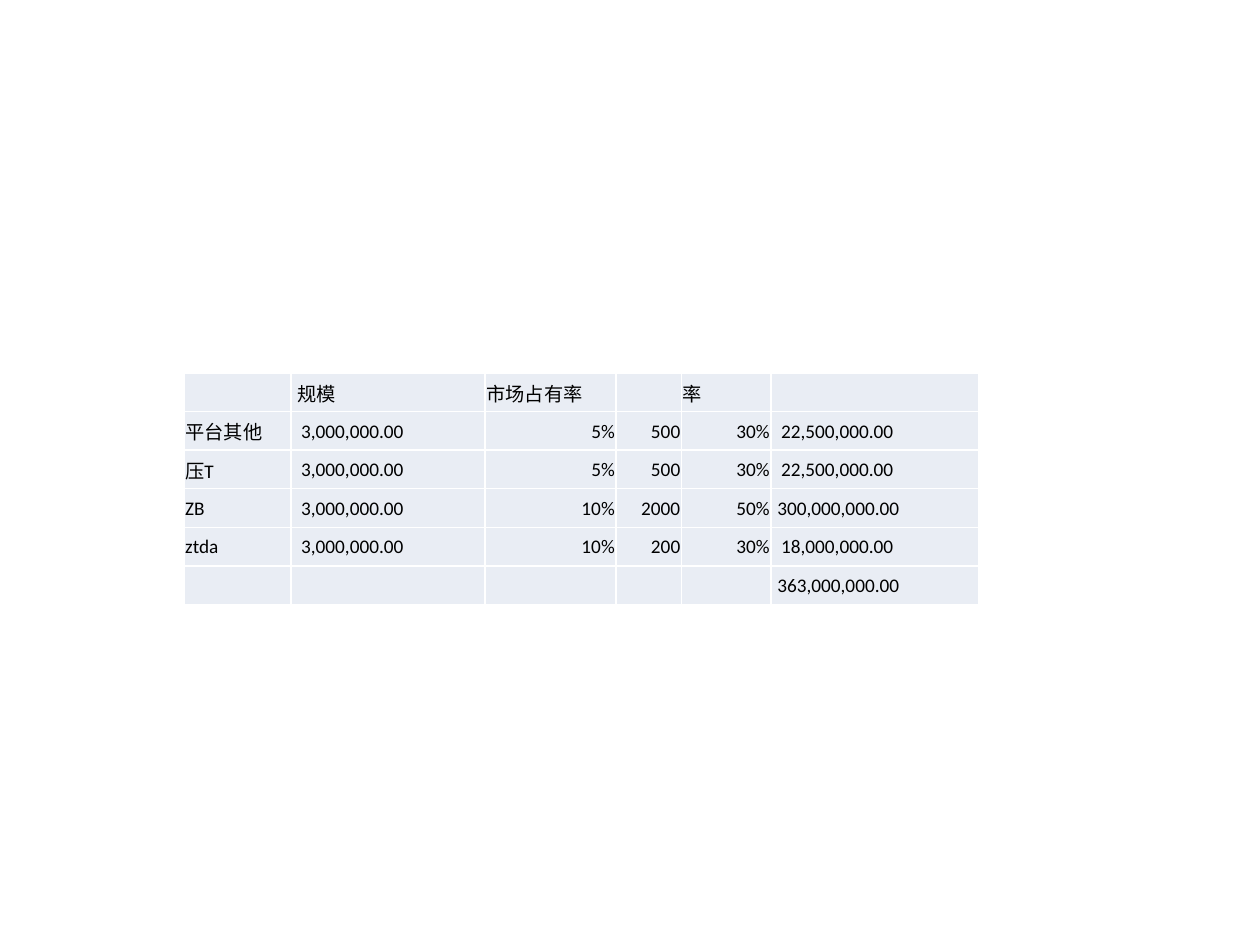
from lxml import etree
from pptx import Presentation
from pptx.dml.color import RGBColor
from pptx.enum.text import MSO_ANCHOR, PP_ALIGN
from pptx.oxml.ns import qn
from pptx.util import Inches, Pt


def rgb(value):
    return RGBColor.from_string(value)


def write_cell(cell, text, size=11, font="Calibri", color="000000",
               fill="E9EDF4", border="FFFFFF", align=PP_ALIGN.LEFT, indent=0):
    cell.margin_left = Inches(0.01 + indent)
    cell.margin_right = cell.margin_top = Inches(0.01)
    cell.margin_bottom = 0
    cell.vertical_anchor = MSO_ANCHOR.MIDDLE
    p = cell.text_frame.paragraphs[0]
    p.alignment = align
    if text:
        r = p.add_run()
        r.text = text
        r.font.size = Pt(size)
        r.font.name = font
        r.font.color.rgb = rgb(color)
    else:
        etree.SubElement(p._p, qn("a:endParaRPr"), sz=str(size * 100))
    tc_pr = cell._tc.get_or_add_tcPr()
    for side in ("a:lnL", "a:lnR", "a:lnT", "a:lnB"):
        ln = etree.SubElement(tc_pr, qn(side), w=str(Pt(1)))
        solid = etree.SubElement(ln, qn("a:solidFill"))
        etree.SubElement(solid, qn("a:srgbClr"), val=border)
    cell.fill.solid()
    cell.fill.fore_color.rgb = rgb(fill)


prs = Presentation()
prs.slide_width = Inches(10)
prs.slide_height = Inches(7.5)
s = prs.slides.add_slide(prs.slide_layouts[6])

rows = [
    ("", "规模", "市场占有率", "", "率", ""),
    ("平台其他", "3,000,000.00", "5%", "500", "30%", "22,500,000.00"),
    ("压T", "3,000,000.00", "5%", "500", "30%", "22,500,000.00"),
    ("ZB", "3,000,000.00", "10%", "2000", "50%", "300,000,000.00"),
    ("ztda", "3,000,000.00", "10%", "200", "30%", "18,000,000.00"),
    ("", "", "", "", "", "363,000,000.00"),
]
widths = [0.85, 1.54, 1.04, 0.52, 0.71, 1.65]
amount_columns = (1, 5)
number_columns = (2, 3, 4)

table = s.shapes.add_table(len(rows), len(widths), Inches(1.46), Inches(2.96),
                           Inches(sum(widths)), Inches(1.84)).table
table.first_row = False
table.horz_banding = False
for column, width in zip(table.columns, widths):
    column.width = Inches(width)

for i, row in enumerate(rows):
    for j, text in enumerate(row):
        align = PP_ALIGN.RIGHT if i and j in number_columns else PP_ALIGN.LEFT
        indent = 0
        if j in amount_columns:
            indent = 0.04 if i == 0 or len(text) > 13 else 0.07
        write_cell(table.cell(i, j), text, align=align, indent=indent)

prs.save("out.pptx")
